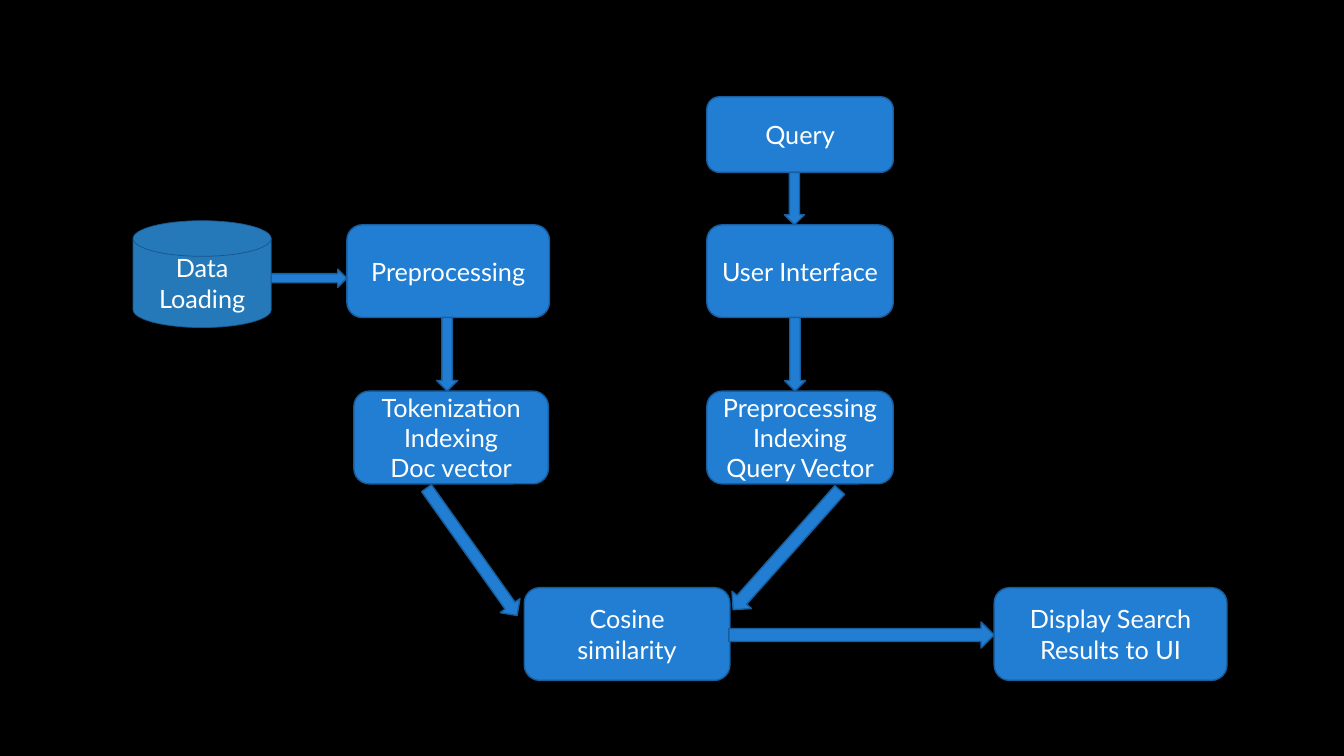
"""Build a flow chart of a document search, from loading and query to results."""
from pptx import Presentation
from pptx.dml.color import RGBColor
from pptx.enum.shapes import MSO_SHAPE
from pptx.enum.text import MSO_ANCHOR, PP_ALIGN
from pptx.util import Inches, Pt


def paint(fill, color):
    """Fill with one hex colour."""
    fill.solid()
    fill.fore_color.rgb = RGBColor.from_string(color)


def draw(kind, left, top, width, height, color="217ED3", edge="185D9C", line=1):
    """Add one flat shape, sized in inches."""
    shape = slide.shapes.add_shape(
        kind, Inches(left), Inches(top), Inches(width), Inches(height))
    shape.shadow.inherit = False
    paint(shape.fill, color)
    paint(shape.line.fill, edge)
    shape.line.width = Pt(line)
    return shape


deck = Presentation()
deck.slide_width, deck.slide_height = Inches(13.33), Inches(7.5)
slide = deck.slides.add_slide(deck.slide_layouts[6])
paint(slide.background.fill, "000000")

BOX = MSO_SHAPE.FLOWCHART_ALTERNATE_PROCESS
DOWN, RIGHT = MSO_SHAPE.DOWN_ARROW, MSO_SHAPE.RIGHT_ARROW
HIGH, SHORT = 0.92, 0.75
ASK, PREP, INDEX, MATCH = 0.96, 2.23, 3.88, 5.83
DOC, USER, COS, SHOW = 3.44, 7.01, 5.2, 9.86
WIDE = 1.85

disk = draw(MSO_SHAPE.FLOWCHART_MAGNETIC_DISK, 1.32, 2.19, 1.37, 1.06,
            "2579B9", "18558C", 0.5)
nodes = [(disk, "Data Loading")]
steps = [
    ("Preprocessing", DOC, PREP, 2.01, HIGH),
    ("Tokenization\nIndexing\nDoc vector", DOC + 0.07, INDEX, 1.93, HIGH),
    ("User Interface", USER, PREP, WIDE, HIGH),
    ("Query", USER, ASK, WIDE, SHORT),
    ("Preprocessing\nIndexing\nQuery Vector", USER, INDEX, WIDE, HIGH),
    ("Cosine similarity", COS, MATCH, 2.04, HIGH),
    ("Display Search Results to UI", SHOW, MATCH, 2.31, HIGH),
]
for text, *place in steps:
    nodes.append((draw(BOX, *place), text))

for shape, text in nodes:
    frame = shape.text_frame
    frame.text = text
    frame.word_wrap = True
    frame.vertical_anchor = MSO_ANCHOR.MIDDLE
    for para in frame.paragraphs:
        para.alignment = PP_ALIGN.CENTER
        for run in para.runs:
            run.font.name = "Lato"
            run.font.size = Pt(18)
            paint(run.font.fill, "FFFFFF")

arrows = [
    (RIGHT, 2.69, 2.67, DOC - 2.69, 0.18, 0),
    (DOWN, 4.33, PREP + HIGH, 0.21, INDEX - PREP - HIGH, 0),
    (DOWN, 7.78, ASK + SHORT, 0.2, PREP - ASK - SHORT, 0),
    (DOWN, 7.78, PREP + HIGH, 0.21, INDEX - PREP - HIGH, 0),
    (DOWN, 4.56, 4.7, 0.24, 1.55, 324.6),
    (DOWN, 7.67, 4.66, 0.26, 1.59, 41.7),
    (RIGHT, 7.23, 6.17, SHOW - 7.23, 0.26, 0),
]
for *place, turn in arrows:
    draw(*place).rotation = turn

deck.save("out.pptx")
